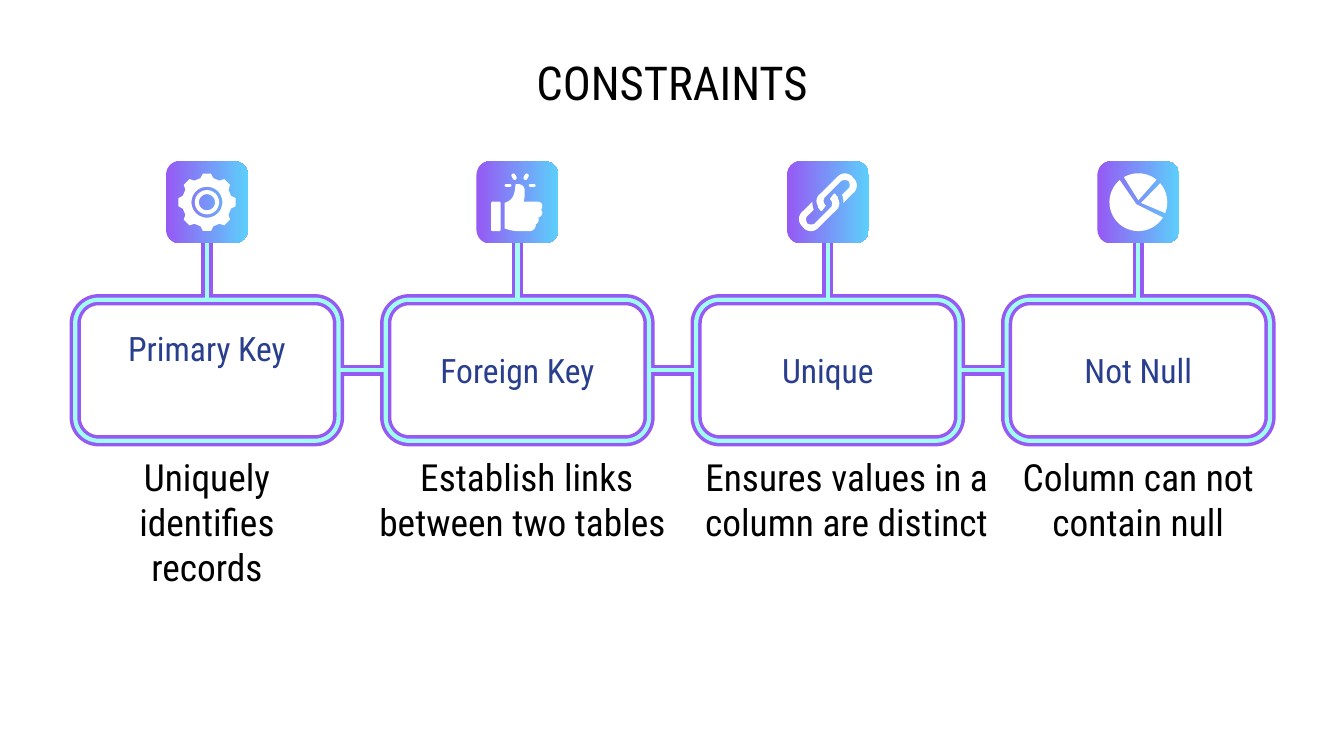
"""Builds a slide that presents four database constraints as linked cards."""
from math import cos, radians, sin

from lxml import etree
from pptx import Presentation
from pptx import util as u
from pptx.dml.color import RGBColor
from pptx.enum import shapes, text
from pptx.oxml.ns import qn

COLORS = {"violet": "9659F4", "sky": "5CCFFB", "mint": "A0FDF1",
          "navy": "293E8D", "black": "000000", "white": "FFFFFF"}
WIRES = (("violet", 6), ("mint", 2.25))
FONT = "Roboto Condensed"
WIDTH = 10
HEIGHT = WIDTH * 9 / 16
FIRST_CENTER, PITCH = 1.54, 2.31
CARD_TOP, CARD_WIDTH, CARD_HEIGHT = 2.23, 1.96, 1.05
CARD_BOTTOM, CARD_MIDDLE = CARD_TOP + CARD_HEIGHT, CARD_TOP + CARD_HEIGHT / 2
TILE_TOP, TILE = 1.2, 0.61
MIDDLE = 30.5
CENTERS = [FIRST_CENTER + PITCH * column for column in range(4)]

# name, name lift, description, description shift, description width
CONSTRAINTS = (
    ("Primary Key", 0.16, "Uniquely identifies records", 0, 2.05),
    ("Foreign Key", 0, "Establish links between two tables ", 0.07, 2.5),
    ("Unique", 0, "Ensures values in a column are distinct", 0.14, 2.36),
    ("Not Null", 0, "Column can not contain null", 0, 2.07),
)
HAND = ((30, 17), (29, 17, 29, 18, 29, 18), (29, 21, 28, 26, 26, 28),
        (24, 30, 23, 30, 21, 31), (21, 50), (24, 51, 27, 52, 32, 52), (40, 52),
        (42, 52, 45, 49, 44, 47), (46, 46, 47, 44, 46, 42), (49, 41, 50, 38, 48, 36),
        (49, 35, 49, 34, 49, 33), (49, 31, 47, 30, 45, 30), (35, 30),
        (36, 28, 36, 24, 36, 22), (36, 19, 34, 17, 31, 17))
CHAIN_LINK = ((35, 24), (32, 28), (34, 30, 34, 32, 33, 34), (21, 46),
              (20, 47, 19, 47, 18, 47), (17, 47, 16, 47, 15, 46),
              (14, 44, 14, 42, 15, 41), (20, 36), (19, 34, 19, 32, 19, 30), (12, 37),
              (8, 40, 8, 46, 12, 49), (13, 51, 16, 52, 18, 52),
              (20, 52, 22, 51, 24, 49), (36, 37), (39, 35, 40, 31, 38, 28),
              (38, 27, 38, 26, 37, 26), (37, 25, 36, 24, 35, 24))


def rgb(name):
    """Return a named color."""
    return RGBColor.from_string(COLORS[name])


def add_wire(slide, start, end, color, weight):
    """Draw a straight wire without a shadow."""
    wire = slide.shapes.add_connector(
        shapes.MSO_CONNECTOR.STRAIGHT, *(u.Inches(v) for v in (*start, *end)))
    wire.line.color.rgb = rgb(color)
    wire.line.width = u.Pt(weight)
    etree.SubElement(wire.element.spPr, qn("a:effectLst"))


def add_wires(slide, color, weight):
    """Draw the stems, the links between cards and the description jogs."""
    for center, (*_, shift, _) in zip(CENTERS, CONSTRAINTS):
        add_wire(slide, (center, TILE_TOP + TILE), (center, CARD_TOP), color, weight)
        if shift:
            add_wire(slide, (center, CARD_BOTTOM), (center + shift, CARD_BOTTOM), color, weight)
    for center in CENTERS[1:]:
        edge = center - CARD_WIDTH / 2
        add_wire(slide, (edge, CARD_MIDDLE),
                 (edge - PITCH + CARD_WIDTH, CARD_MIDDLE), color, weight)


def add_text(slide, words, center, top, width, height, size, color="black",
             anchor=text.MSO_ANCHOR.MIDDLE):
    """Add one centered paragraph around a vertical axis."""
    box = slide.shapes.add_textbox(*(u.Inches(v) for v in (center - width / 2, top, width, height)))
    frame = box.text_frame
    frame.word_wrap = True
    frame.vertical_anchor = anchor
    frame.margin_left = frame.margin_right = u.Inches(0.1)
    frame.margin_top = frame.margin_bottom = u.Inches(0.1)
    paragraph = frame.paragraphs[0]
    paragraph.text = words
    paragraph.alignment = text.PP_ALIGN.CENTER
    paragraph.font.name = FONT
    paragraph.font.size = u.Pt(size)
    paragraph.font.color.rgb = rgb(color)


def add_rounded(slide, left, top, width, height, roundness=0.167):
    """Add a rounded rectangle with no shadow or outline."""
    block = slide.shapes.add_shape(shapes.MSO_SHAPE.ROUNDED_RECTANGLE,
                                   *(u.Inches(v) for v in (left, top, width, height)))
    block.adjustments[0] = roundness
    block.shadow.inherit = False
    block.line.fill.background()
    return block


def add_card(slide, center):
    """Add a white card with a two-tone border."""
    for color, weight in WIRES:
        border = add_rounded(slide, center - CARD_WIDTH / 2, CARD_TOP, CARD_WIDTH, CARD_HEIGHT)
        if color == "violet":
            border.fill.solid()
            border.fill.fore_color.rgb = rgb("white")
        else:
            border.fill.background()
        border.line.color.rgb = rgb(color)
        border.line.width = u.Pt(weight)


def add_tile(slide, center):
    """Add the gradient tile behind an icon."""
    tile = add_rounded(slide, center - TILE / 2, TILE_TOP, TILE, TILE)
    tile.fill.gradient()
    tile.fill.gradient_angle = 0
    for stop, color, position in zip(tile.fill.gradient_stops, ("violet", "sky"), (0, 1)):
        stop.color.rgb = rgb(color)
        stop.position = position


def flatten(segments, steps=8):
    """Turn corners and cubic curves into a list of points."""
    points = []
    for *controls, x, y in segments:
        if controls:
            (x0, y0), (x1, y1, x2, y2) = points[-1], controls
            for t in (step / steps for step in range(1, steps)):
                a, b, c, d = (1 - t) ** 3, 3 * t * (1 - t) ** 2, 3 * t * t * (1 - t), t ** 3
                points.append((a * x0 + b * x1 + c * x2 + d * x, a * y0 + b * y1 + c * y2 + d * y))
        points.append((x, y))
    return points


def arc(radius, start=0, end=360, step=6):
    """List points on an arc around the tile's middle."""
    return [(MIDDLE + radius * cos(radians(a)), MIDDLE + radius * sin(radians(a)))
            for a in range(start, end + 1, step)]


def add_outline(slide, center, *contours):
    """Draw white contours given in hundredths of an inch on a tile."""
    left = center - TILE / 2
    placed = [[(u.Inches(left + x / 100), u.Inches(TILE_TOP + y / 100)) for x, y in contour]
              for contour in contours]
    builder = slide.shapes.build_freeform(*placed[0][0])
    builder.add_line_segments(placed[0][1:])
    for hole in placed[1:]:
        builder.move_to(*hole[0])
        builder.add_line_segments(hole[1:])
    figure = builder.convert_to_shape()
    figure.shadow.inherit = False
    figure.fill.solid()
    figure.fill.fore_color.rgb = rgb("white")
    figure.line.fill.background()


def add_gear(slide, center):
    """Draw a gear with eight teeth and a ring."""
    teeth = [arc(radius, tooth + offset, tooth + offset)[0] for tooth in range(0, 360, 45)
             for radius, offset in ((18.5, -15), (21.5, -8), (21.5, 8), (18.5, 15))]
    add_outline(slide, center, teeth, arc(11.5))
    add_outline(slide, center, arc(9), arc(6))


def add_thumb(slide, center):
    """Draw a raised thumb with a cuff and four sparks."""
    add_outline(slide, center, flatten(HAND))
    bars = ((14.5, 41, 7, 22, 0, 0.15), (41.5, 18, 5, 2, 0, 0.5), (23.5, 18, 5, 2, 0, 0.5),
            (28, 11.5, 5, 3, 62, 0.5), (37, 11.5, 5, 3, -62, 0.5))
    for x, y, width, height, turn, roundness in bars:
        bar = add_rounded(slide, center - TILE / 2 + (x - width / 2) / 100,
                          TILE_TOP + (y - height / 2) / 100, width / 100, height / 100, roundness)
        bar.rotation = turn
        bar.fill.solid()
        bar.fill.fore_color.rgb = rgb("white")


def add_chain(slide, center):
    """Draw two chain links, each the other turned by half a circle."""
    link = flatten(CHAIN_LINK)
    add_outline(slide, center, link)
    add_outline(slide, center, [(2 * MIDDLE - x, 2 * MIDDLE - y) for x, y in link])


def add_pie(slide, center):
    """Draw a pie in three slices."""
    for apex, start, end in (((29, 32), 32, 230), ((30.5, 29), 240, 309), ((32.5, 31), 319, 382)):
        add_outline(slide, center, [apex, *arc(21.5, start, end, 3)])


def main():
    """Build and save the slide."""
    deck = Presentation()
    deck.slide_width, deck.slide_height = u.Inches(WIDTH), u.Inches(HEIGHT)
    slide = deck.slides.add_slide(deck.slide_layouts[6])
    add_wires(slide, *WIRES[0])
    add_text(slide, "CONSTRAINTS", WIDTH / 2, 0.33, 8.87, 0.56, 25)
    for center, (name, lift, description, shift, width) in zip(CENTERS, CONSTRAINTS):
        add_card(slide, center)
        add_text(slide, description, center + shift, CARD_BOTTOM, width, 0.56, 20,
                 anchor=text.MSO_ANCHOR.TOP)
        add_text(slide, name, center, 2.61 - lift, 1.69, 0.28, 18, "navy")
        add_tile(slide, center)
    add_wires(slide, *WIRES[1])
    for add_icon, center in zip((add_gear, add_thumb, add_chain, add_pie), CENTERS):
        add_icon(slide, center)
    deck.save("out.pptx")


if __name__ == "__main__":
    main()
